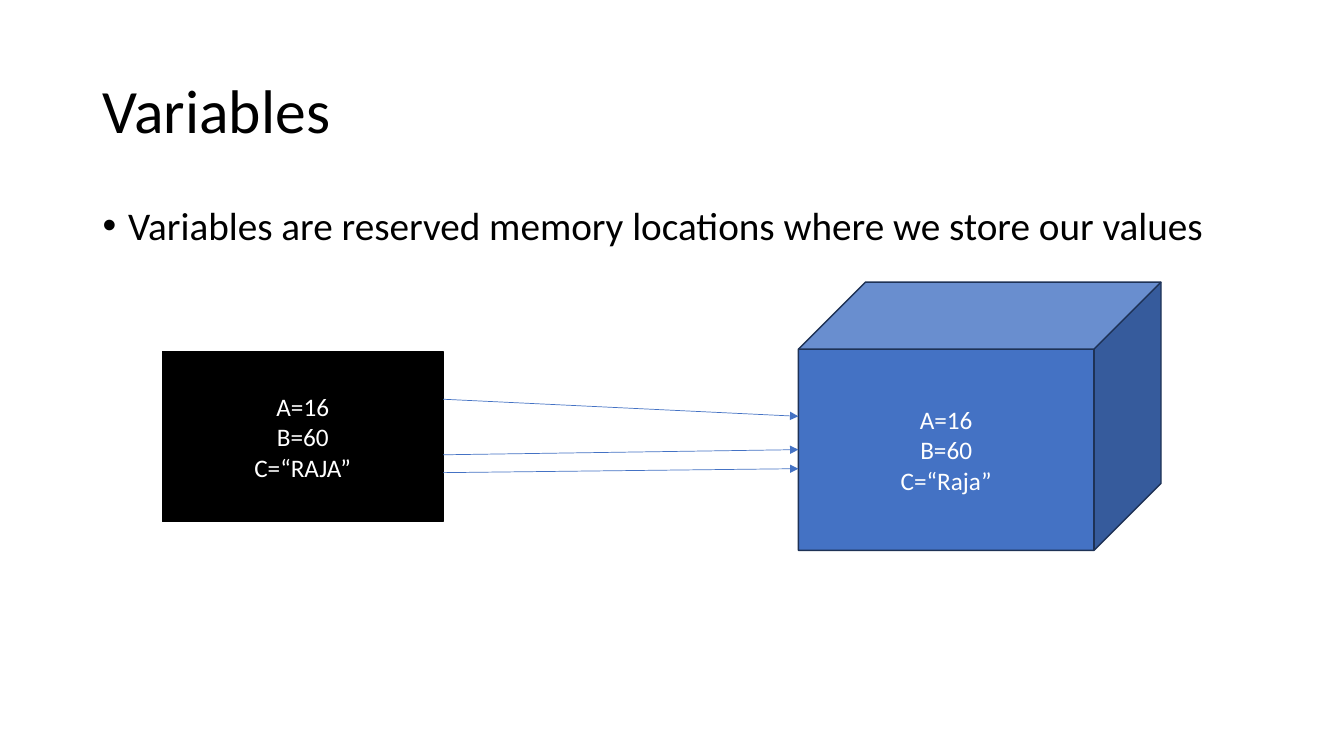
from dataclasses import dataclass

from lxml.etree import SubElement
from pptx import Presentation
from pptx.dml.color import RGBColor
from pptx.enum.shapes import MSO_CONNECTOR, MSO_SHAPE
from pptx.enum.text import MSO_ANCHOR, MSO_AUTO_SIZE, PP_ALIGN
from pptx.oxml.ns import qn
from pptx.slide import Slide
from pptx.text.text import TextFrame, _Paragraph as Paragraph
from pptx.util import Cm, Pt

FONT = "Calibri"
COLORS = {
    "black": "000000",
    "white": "FFFFFF",
    "blue": "4472C4",
    "navy": "1E3256",
}
MARGIN_LEFT, CONTENT_WIDTH = 2.34, 29.21
BULLET_INDENT = Cm(0.64)


@dataclass(frozen=True)
class Box:
    """A filled shape listing variable values; lengths in centimetres."""
    kind: MSO_SHAPE
    left: float
    top: float
    width: float
    height: float
    fill: str
    line: str
    values: tuple[str, ...]


@dataclass(frozen=True)
class Arrow:
    """Heights in centimetres at which an arrow starts and ends."""
    start: float
    end: float


CODE = Box(MSO_SHAPE.RECTANGLE, 4.09, 8.86, 7.08, 4.29, "black", "black",
           ("A=16", "B=60", "C=“RAJA”"))
MEMORY = Box(MSO_SHAPE.CUBE, 20.12, 7.11, 9.14, 6.76, "blue", "navy",
             ("A=16", "B=60", "C=“Raja”"))
ARROWS = (Arrow(10.06, 10.49), Arrow(11.46, 11.33), Arrow(11.91, 11.81))


def color(name: str) -> RGBColor:
    return RGBColor.from_string(COLORS[name])


def format_font(paragraph: Paragraph, size: int, color_name: str) -> None:
    font = paragraph.font
    font.name, font.size = FONT, Pt(size)
    font.color.rgb = color(color_name)


def prepare_frame(frame: TextFrame, anchor: MSO_ANCHOR) -> None:
    frame.word_wrap = True
    frame.auto_size = MSO_AUTO_SIZE.NONE
    frame.vertical_anchor = anchor


def add_title(slide: Slide, text: str) -> None:
    title = slide.shapes.title
    title.left, title.top = Cm(MARGIN_LEFT), Cm(1.02)
    title.width, title.height = Cm(CONTENT_WIDTH), Cm(3.68)
    prepare_frame(title.text_frame, MSO_ANCHOR.MIDDLE)
    paragraph = title.text_frame.paragraphs[0]
    paragraph.text = text
    paragraph.alignment = PP_ALIGN.LEFT
    paragraph.line_spacing = 0.9
    format_font(paragraph, 44, "black")


def add_definition(slide: Slide, text: str) -> None:
    text_box = slide.shapes.add_textbox(
        Cm(MARGIN_LEFT), Cm(5.08), Cm(CONTENT_WIDTH), Cm(12.09))
    prepare_frame(text_box.text_frame, MSO_ANCHOR.TOP)
    paragraph = text_box.text_frame.paragraphs[0]
    paragraph.text = text
    properties = paragraph._p.get_or_add_pPr()
    properties.set("marL", str(BULLET_INDENT))
    properties.set("indent", str(-BULLET_INDENT))
    SubElement(properties, qn("a:buFont"), typeface="Arial")
    SubElement(properties, qn("a:buChar"), char="•")
    paragraph.line_spacing = 0.9
    paragraph.space_before = Pt(10)
    format_font(paragraph, 28, "black")


def add_box(slide: Slide, box: Box) -> None:
    shape = slide.shapes.add_shape(
        box.kind, Cm(box.left), Cm(box.top), Cm(box.width), Cm(box.height))
    shape.shadow.inherit = False
    shape.fill.solid()
    shape.fill.fore_color.rgb = color(box.fill)
    shape.line.color.rgb = color(box.line)
    shape.line.width = Pt(1)
    prepare_frame(shape.text_frame, MSO_ANCHOR.MIDDLE)
    shape.text_frame.text = "\n".join(box.values)
    for paragraph in shape.text_frame.paragraphs:
        paragraph.alignment = PP_ALIGN.CENTER
        format_font(paragraph, 18, "white")


def add_arrow(slide: Slide, arrow: Arrow) -> None:
    """Draw an arrow from the code box to the memory cube."""
    connector = slide.shapes.add_connector(
        MSO_CONNECTOR.STRAIGHT,
        Cm(CODE.left + CODE.width), Cm(arrow.start),
        Cm(MEMORY.left), Cm(arrow.end))
    connector.line.color.rgb = color("blue")
    connector.line.width = Pt(0.5)
    SubElement(connector.line._get_or_add_ln(), qn("a:tailEnd"), type="triangle")
    SubElement(connector._element.spPr, qn("a:effectLst"))


def main() -> None:
    presentation = Presentation()
    presentation.slide_width, presentation.slide_height = Cm(33.87), Cm(19.05)
    title_only = presentation.slide_layouts[5]
    slide = presentation.slides.add_slide(title_only)
    add_title(slide, "Variables")
    add_definition(
        slide, "Variables are reserved memory locations where we store our values")
    for box in (CODE, MEMORY):
        add_box(slide, box)
    for arrow in ARROWS:
        add_arrow(slide, arrow)
    presentation.save("out.pptx")


if __name__ == "__main__":
    main()
